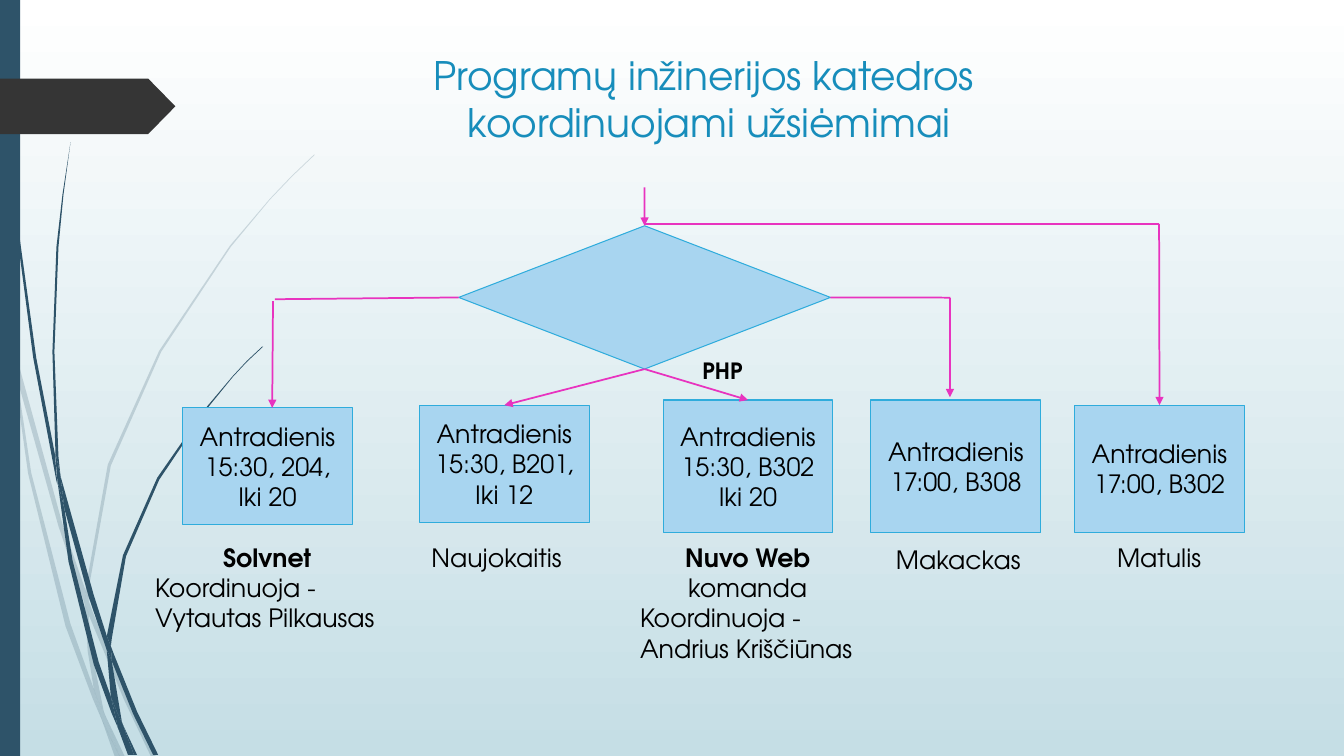
"""Build the slide of sessions coordinated by the software engineering department."""
from dataclasses import dataclass
from typing import Any, Optional

from lxml import etree
from pptx import Presentation
from pptx.dml.color import RGBColor
from pptx.enum.shapes import MSO_CONNECTOR, MSO_SHAPE
from pptx.enum.text import MSO_ANCHOR, MSO_AUTO_SIZE, PP_ALIGN
from pptx.oxml.ns import qn
from pptx.util import Cm, Pt

STRAIGHT = MSO_CONNECTOR.STRAIGHT
RECT, DIAMOND, TAG = MSO_SHAPE.RECTANGLE, MSO_SHAPE.DIAMOND, MSO_SHAPE.PENTAGON
LEFT, CENTER = PP_ALIGN.LEFT, PP_ALIGN.CENTER
TOP, MIDDLE = MSO_ANCHOR.TOP, MSO_ANCHOR.MIDDLE
NO_FIT, GROW = MSO_AUTO_SIZE.NONE, MSO_AUTO_SIZE.SHAPE_TO_FIT_TEXT

FONT = "TeX Gyre Adventor"
BLACK = RGBColor(0x00, 0x00, 0x00)
WHITE = RGBColor(0xFF, 0xFF, 0xFF)
MIST = RGBColor(0xC5, 0xDE, 0xE5)
NAVY = RGBColor(0x2E, 0x53, 0x69)
CHARCOAL = RGBColor(0x35, 0x35, 0x35)
TITLE_BLUE = RGBColor(0x17, 0x8D, 0xBB)
BOX_FILL = RGBColor(0xA8, 0xD5, 0xF0)
BOX_LINE = RGBColor(0x2F, 0xAC, 0xDC)
PINK = RGBColor(0xE8, 0x33, 0xBF)

HUNDREDTH_INCH = Cm(0.0254)

Point = tuple[float, float]


@dataclass
class Box:
    x: float
    y: float
    h: float
    lines: list[str]


@dataclass
class Line:
    text: str
    align: Any = CENTER
    bold: bool = False


@dataclass
class Label:
    x: float
    y: float
    w: float
    h: float
    lines: list[Line]
    size: int = 18


@dataclass
class Link:
    start: Point
    end: Point
    arrow: bool = True
    begin: Optional[tuple[str, int]] = None
    finish: Optional[tuple[str, int]] = None


PALE_BLADES: list[list[Point]] = [
    [(11, 350), (9, 322), (0, 282), (0, 299), (10, 344)],
    [(58, 522), (84, 599), (85, 586), (62, 520), (14, 345), (17, 376)],
    [(92, 607), (88, 596), (88, 610), (123, 694), (150, 751), (155, 751), (127, 692)],
    [(119, 751), (124, 751), (105, 711)],
    [(93, 683), (70, 619), (31, 469), (17, 376), (11, 350), (28, 470), (65, 621), (92, 693),
     (101, 714), (99, 707)],
    [(84, 599), (87, 646), (93, 683), (96, 692), (105, 711), (103, 706), (91, 646), (88, 610),
     (88, 608)],
    [(88, 584), (110, 462), (160, 349), (229, 245), (268, 198), (290, 175), (312, 154), (312, 153),
     (289, 175), (268, 197), (228, 244), (158, 348), (107, 461), (85, 584), (85, 586), (88, 596)],
    [(101, 714), (114, 751), (119, 751)],
    [(88, 608), (88, 610), (88, 596), (85, 586), (84, 599)],
    [(96, 692), (93, 683), (99, 707), (101, 714), (119, 751), (105, 711)],
]
DARK_BLADES: list[list[Point]] = [
    [(7, 110), (17, 233), (33, 355), (56, 477), (57, 481), (55, 457), (55, 453), (36, 355),
     (19, 232), (8, 109), (5, 48), (4, 0), (3, 0), (4, 48)],
    [(88, 592), (106, 645), (106, 633), (106, 631), (93, 590), (60, 472), (64, 505)],
    [(113, 649), (110, 641), (111, 656), (132, 708), (152, 749), (157, 749), (136, 706)],
    [(110, 691), (98, 657), (72, 556), (64, 505), (57, 477), (68, 557), (93, 659), (111, 708),
     (117, 722), (116, 717)],
    [(60, 472), (58, 453), (54, 349), (58, 245), (63, 193), (70, 141), (62, 193), (56, 245),
     (52, 349), (55, 449)],
    [(133, 749), (136, 749), (122, 719)],
    [(57, 477), (64, 505), (60, 472), (55, 449), (55, 453)],
    [(111, 633), (125, 552), (158, 476), (205, 406), (231, 374), (245, 359), (261, 344), (260, 344),
     (245, 358), (231, 373), (204, 405), (156, 474), (122, 551), (106, 631), (110, 641)],
    [(117, 722), (127, 749), (131, 749)],
    [(106, 645), (110, 691), (116, 706), (122, 719), (121, 716), (111, 656), (109, 651)],
    [(106, 645), (109, 651), (111, 656), (110, 641), (106, 631), (106, 633)],
    [(116, 706), (110, 691), (116, 717), (117, 722), (130, 749), (133, 749), (122, 719)],
]

DAY = "Antradienis"
BOXES = {
    "solvnet": Box(4.6, 10.28, 2.95, [DAY, "15:30, 204,", "Iki 20"]),
    "naujokaitis": Box(10.57, 10.21, 2.95, [DAY, "15:30, B201,", "Iki 12"]),
    "nuvo": Box(16.71, 10.08, 3.35, [DAY, "15:30, B302", "Iki 20"]),
    "makackas": Box(21.95, 10.08, 3.35, [DAY, "17:00, B308"]),
    "matulis": Box(27.08, 10.21, 3.2, [DAY, "17:00, B302"]),
}

LABELS = [
    Label(3.66, 13.54, 6.15, 2.57, [Line("Solvnet", bold=True), Line("Koordinuoja -", LEFT),
                                    Line("Vytautas Pilkausas", LEFT)]),
    Label(10.62, 13.54, 3.84, 1.02, [Line("Naujokaitis", LEFT)]),
    Label(15.88, 13.54, 5.92, 3.33, [Line("Nuvo Web", bold=True), Line("komanda"),
                                     Line("Koordinuoja -", LEFT), Line("Andrius Kriščiūnas", LEFT)]),
    Label(22.33, 13.59, 3.71, 1.02, [Line("Makackas", LEFT)]),
    Label(26.49, 13.54, 5.44, 1.02, [Line("Matulis")]),
    Label(17.45, 8.88, 1.57, 0.94, [Line("PHP", LEFT, True)], 16),
]

LINKS = [
    Link((16.24, 4.72), (16.24, 5.69), finish=("choice", 0)),
    Link((11.56, 7.5), (6.93, 7.54), False, begin=("choice", 1)),
    Link((6.88, 7.59), (6.86, 10.28)),
    Link((16.24, 9.3), (12.7, 10.21), begin=("choice", 2), finish=("naujokaitis", 0)),
    Link((16.24, 9.3), (18.85, 10.08), begin=("choice", 2), finish=("nuvo", 0)),
    Link((20.93, 7.5), (23.95, 7.5), False, begin=("choice", 3)),
    Link((23.94, 7.5), (23.94, 10.01)),
    Link((29.21, 5.64), (16.24, 5.64), False),
    Link((29.21, 5.64), (29.21, 10.21), finish=("matulis", 0)),
]


def style(target: Any, values: dict[str, Any]) -> None:
    for name, value in values.items():
        setattr(target, name, value)


def write(tf: Any, lines: list[Line], size: int, color: RGBColor = BLACK) -> None:
    for i, line in enumerate(lines):
        p = tf.paragraphs[0] if i == 0 else tf.add_paragraph()
        p.text, p.alignment = line.text, line.align
        for r in p.runs:
            style(r.font, {"name": FONT, "size": Pt(size), "bold": line.bold})
            r.font.color.rgb = color


def paint(sp: Any, fill: RGBColor, line: Optional[RGBColor] = None) -> None:
    sp.shadow.inherit = False
    sp.fill.solid()
    sp.fill.fore_color.rgb = fill
    if line is None:
        sp.line.fill.background()
    else:
        sp.line.color.rgb = line
        sp.line.width = Pt(0.75)


def add_preset(s: Any, kind: Any, x: float, y: float, w: float, h: float,
               fill: RGBColor, line: Optional[RGBColor] = None) -> Any:
    sp = s.shapes.add_shape(kind, Cm(x), Cm(y), Cm(w), Cm(h))
    paint(sp, fill, line)
    return sp


def add_blade(s: Any, outline: list[Point], alpha: int) -> None:
    builder = s.shapes.build_freeform(*outline[0], scale=HUNDREDTH_INCH)
    builder.add_line_segments(outline[1:], close=True)
    sp = builder.convert_to_shape()
    paint(sp, NAVY)
    if alpha < 100:
        clr = sp.fill._xPr.find(qn("a:solidFill"))[0]
        etree.SubElement(clr, qn("a:alpha"), val=str(alpha * 1000))


def add_box(s: Any, box: Box) -> Any:
    sp = add_preset(s, RECT, box.x, box.y, 4.28, box.h, BOX_FILL, BOX_LINE)
    sp.text_frame.vertical_anchor = MIDDLE
    write(sp.text_frame, [Line(text) for text in box.lines], 18)
    return sp


def add_label(s: Any, label: Label) -> None:
    tf = s.shapes.add_textbox(Cm(label.x), Cm(label.y), Cm(label.w), Cm(label.h)).text_frame
    style(tf, {"word_wrap": False, "auto_size": GROW})
    write(tf, label.lines, label.size)


def add_link(s: Any, link: Link, nodes: dict[str, Any]) -> None:
    cx = s.shapes.add_connector(STRAIGHT, *map(Cm, link.start + link.end))
    for join, site in ((cx.begin_connect, link.begin), (cx.end_connect, link.finish)):
        if site:
            join(nodes[site[0]], site[1])
    cx.line.color.rgb = PINK
    cx.line.width = Pt(1.25)
    if link.arrow:
        etree.SubElement(cx.line._get_or_add_ln(), qn("a:tailEnd"), type="triangle")
    etree.SubElement(cx._element.spPr, qn("a:effectLst"))


def main() -> None:
    prs = Presentation()
    style(prs, {"slide_width": Cm(33.87), "slide_height": Cm(19.05)})
    s = prs.slides.add_slide(prs.slide_layouts[5])
    bg = s.background.fill
    bg.gradient()
    bg.gradient_angle = 270
    for stop, color, position in zip(bg.gradient_stops, (WHITE, MIST), (0, 1)):
        stop.color.rgb, stop.position = color, position

    for blades, alpha in ((PALE_BLADES, 20), (DARK_BLADES, 100)):
        for outline in blades:
            add_blade(s, outline, alpha)
    add_preset(s, RECT, 0, 0, 0.51, 19.05, NAVY)
    add_preset(s, TAG, 0, 1.98, 4.42, 1.4, CHARCOAL).adjustments[0] = 0.49

    title = s.shapes.title
    style(title, {"left": Cm(5.49), "top": Cm(1.17), "width": Cm(24.77), "height": Cm(3.56)})
    style(title.text_frame, {"vertical_anchor": TOP, "word_wrap": True, "auto_size": NO_FIT})
    write(title.text_frame, [Line("Programų inžinerijos katedros \vkoordinuojami užsiėmimai")],
          28, TITLE_BLUE)

    nodes = {"choice": add_preset(s, DIAMOND, 11.56, 5.69, 9.37, 3.61, BOX_FILL, BOX_LINE)}
    nodes.update({name: add_box(s, box) for name, box in BOXES.items()})
    for link in LINKS:
        add_link(s, link, nodes)
    for label in LABELS:
        add_label(s, label)
    prs.save("out.pptx")


if __name__ == "__main__":
    main()
